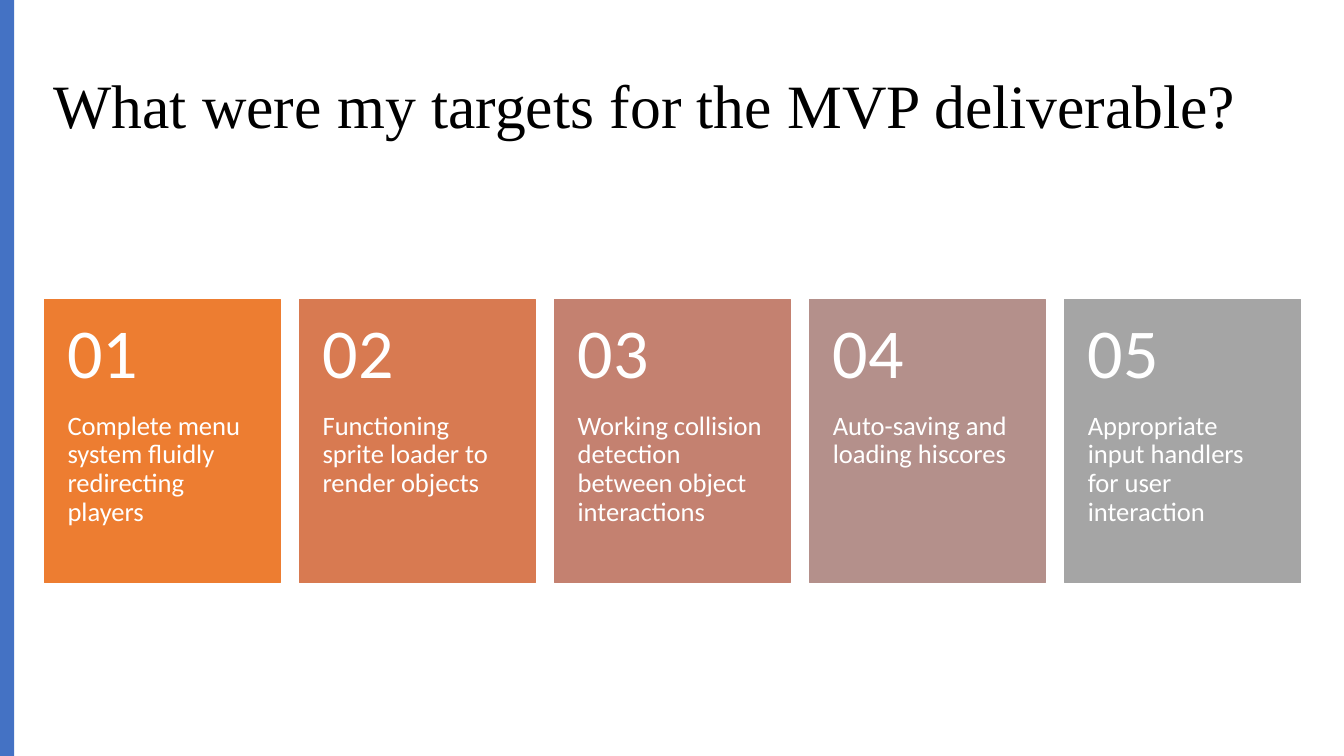
from pptx import Presentation
from pptx.dml.color import RGBColor
from pptx.enum.shapes import MSO_SHAPE as Shape
from pptx.enum.text import MSO_ANCHOR as Anchor, MSO_AUTO_SIZE as AutoSize, PP_ALIGN as Align
from pptx.util import Inches, Pt

BLACK = RGBColor(0x00, 0x00, 0x00)
WHITE = RGBColor(0xFF, 0xFF, 0xFF)
BLUE = RGBColor(0x44, 0x72, 0xC4)

TARGETS = [
    (RGBColor(0xED, 0x7D, 0x31), "Complete menu system fluidly redirecting players"),
    (RGBColor(0xD8, 0x7A, 0x51), "Functioning sprite loader to render objects"),
    (RGBColor(0xC4, 0x81, 0x70), "Working collision detection between object interactions"),
    (RGBColor(0xB4, 0x90, 0x8B), "Auto-saving and loading hiscores"),
    (RGBColor(0xA5, 0xA5, 0xA5), "Appropriate input handlers for user interaction"),
]

CARD_LEFT, CARD_TOP = 0.44, 2.97
CARD_WIDTH, CARD_HEIGHT = 2.34, 2.81
CARD_STEP = 2.53
NUMBER_HEIGHT = 1.12


def style_paragraph(paragraph, font_name, size, color):
    paragraph.alignment = Align.LEFT
    paragraph.line_spacing = 0.9
    paragraph.font.name = font_name
    paragraph.font.size = Pt(size)
    paragraph.font.color.rgb = color


def set_title(slide, text):
    title = slide.shapes.title
    title.left, title.top = Inches(0.43), Inches(0.35)
    title.width, title.height = Inches(12.48), Inches(1.45)
    frame = title.text_frame
    frame.text = text
    frame.auto_size = AutoSize.NONE
    frame.vertical_anchor = Anchor.MIDDLE
    style_paragraph(frame.paragraphs[0], "Times New Roman", 44, BLACK)


def add_block(shapes, left, top, width, height, color):
    block = shapes.add_shape(
        Shape.RECTANGLE, Inches(left), Inches(top), Inches(width), Inches(height)
    )
    block.shadow.inherit = False
    block.fill.solid()
    block.fill.fore_color.rgb = color
    block.line.fill.background()
    return block


def add_label(shapes, left, top, height, text, size, anchor, inset_top, inset_bottom):
    box = shapes.add_textbox(Inches(left), Inches(top), Inches(CARD_WIDTH), Inches(height))
    frame = box.text_frame
    frame.word_wrap = True
    frame.vertical_anchor = anchor
    frame.margin_left = frame.margin_right = Inches(0.23)
    frame.margin_top, frame.margin_bottom = Inches(inset_top), Inches(inset_bottom)
    frame.text = text
    style_paragraph(frame.paragraphs[0], "Calibri", size, WHITE)


def add_card(shapes, left, number, color, text):
    block = add_block(shapes, left, CARD_TOP, CARD_WIDTH, CARD_HEIGHT, color)
    block.line.color.rgb = color
    block.line.width = Pt(1)
    add_label(shapes, left, CARD_TOP + NUMBER_HEIGHT, CARD_HEIGHT - NUMBER_HEIGHT,
              text, 19, Anchor.TOP, 0, 0.36)
    add_label(shapes, left, CARD_TOP, NUMBER_HEIGHT,
              f"{number:02d}", 50, Anchor.MIDDLE, 0.18, 0.18)


def main():
    deck = Presentation()
    deck.slide_width, deck.slide_height = Inches(13.33), Inches(7.5)
    slide = deck.slides.add_slide(deck.slide_layouts[5])
    set_title(slide, "What were my targets for the MVP deliverable?")
    add_block(slide.shapes, 0, 0, 0.14, 7.5, BLUE)
    cards = slide.shapes.add_group_shape()
    for index, (color, text) in enumerate(TARGETS):
        add_card(cards.shapes, CARD_LEFT + index * CARD_STEP, index + 1, color, text)
    deck.save("out.pptx")


if __name__ == "__main__":
    main()
